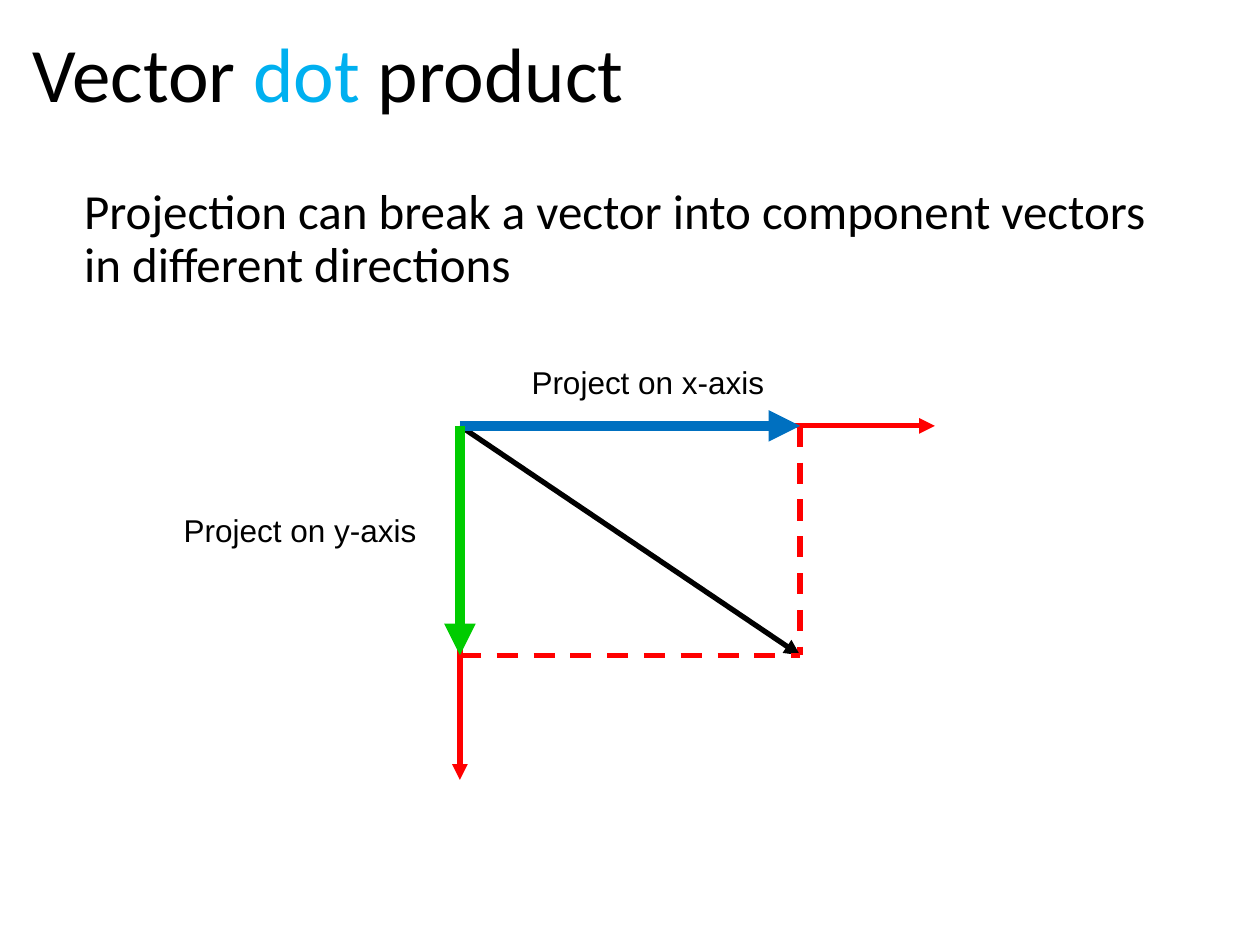
from lxml.etree import SubElement
from pptx import Presentation
from pptx.dml.color import RGBColor
from pptx.enum.dml import MSO_LINE_DASH_STYLE as Dash
from pptx.enum.shapes import MSO_CONNECTOR as Connector
from pptx.enum.text import MSO_AUTO_SIZE as AutoSize
from pptx.oxml.ns import qn
from pptx.util import Inches, Pt

BLACK = RGBColor(0x00, 0x00, 0x00)
RED = RGBColor(0xFF, 0x00, 0x00)
BLUE = RGBColor(0x00, 0x70, 0xC0)
GREEN = RGBColor(0x00, 0xCC, 0x00)
SKY = RGBColor(0x00, 0xB0, 0xF0)

ORIGIN = (3.65, 3.38)
TIP = (6.35, 5.2)
X_FOOT = (TIP[0], ORIGIN[1])
Y_FOOT = (ORIGIN[0], TIP[1])
X_END = (7.42, ORIGIN[1])
Y_END = (ORIGIN[0], 6.19)


def add_span(para, text, font="Arial", size=18, color=BLACK):
    span = para.add_run()
    span.text = text
    span.font.name = font
    span.font.size = Pt(size)
    span.font.color.rgb = color


class SlideBuilder:
    heading_font = "Calibri"
    thin = 3
    thick = 6

    def __init__(self, page):
        self.page = page

    def text(self, left, top, width, height, spans, wrap=True, grow=True, line_spacing=None, **style):
        box = self.page.shapes.add_textbox(
            Inches(left), Inches(top), Inches(width), Inches(height))
        frame = box.text_frame
        frame.word_wrap = wrap
        frame.auto_size = AutoSize.SHAPE_TO_FIT_TEXT if grow else AutoSize.NONE
        para = frame.paragraphs[0]
        para.line_spacing = line_spacing
        for text, color in spans:
            add_span(para, text, color=color, **style)

    def line(self, start, end, color, width=thin, dashed=False):
        link = self.page.shapes.add_connector(
            Connector.STRAIGHT, *(Inches(value) for value in start + end))
        link.line.color.rgb = color
        link.line.width = Pt(width)
        if dashed:
            link.line.dash_style = Dash.DASH
        properties = link._element.spPr
        SubElement(properties, qn("a:effectLst"))
        return link

    def arrow(self, start, end, color, width=thin):
        link = self.line(start, end, color, width)
        SubElement(link.line._get_or_add_ln(), qn("a:tailEnd"), type="triangle")


def main():
    deck = Presentation()
    deck.slide_width, deck.slide_height = Inches(10), Inches(7.5)
    slide = SlideBuilder(deck.slides.add_slide(deck.slide_layouts[6]))

    slide.text(0.57, 1.44, 8.91, 1.04,
               [("Projection can break a vector into component vectors in different directions", BLACK)],
               grow=False, line_spacing=0.9, font=slide.heading_font, size=28)

    slide.line(X_FOOT, TIP, RED, dashed=True)
    slide.arrow(ORIGIN, TIP, BLACK)
    slide.arrow(ORIGIN, X_END, RED)
    slide.arrow(ORIGIN, X_FOOT, BLUE, slide.thick)
    slide.arrow(ORIGIN, Y_END, RED)
    slide.line(Y_FOOT, TIP, RED, dashed=True)
    slide.arrow(ORIGIN, Y_FOOT, GREEN, slide.thick)

    for axis, left, top in (("y", 1.36, 4.01), ("x", 4.12, 2.83)):
        slide.text(left, top, 2.11, 0.4, [(f"Project on {axis}-axis", BLACK)])

    slide.text(0.16, 0.15, 4.94, 0.84,
               [("Vector ", BLACK), ("dot", SKY), (" product", BLACK)],
               wrap=False, font=slide.heading_font, size=44)

    deck.save("out.pptx")


if __name__ == "__main__":
    main()
